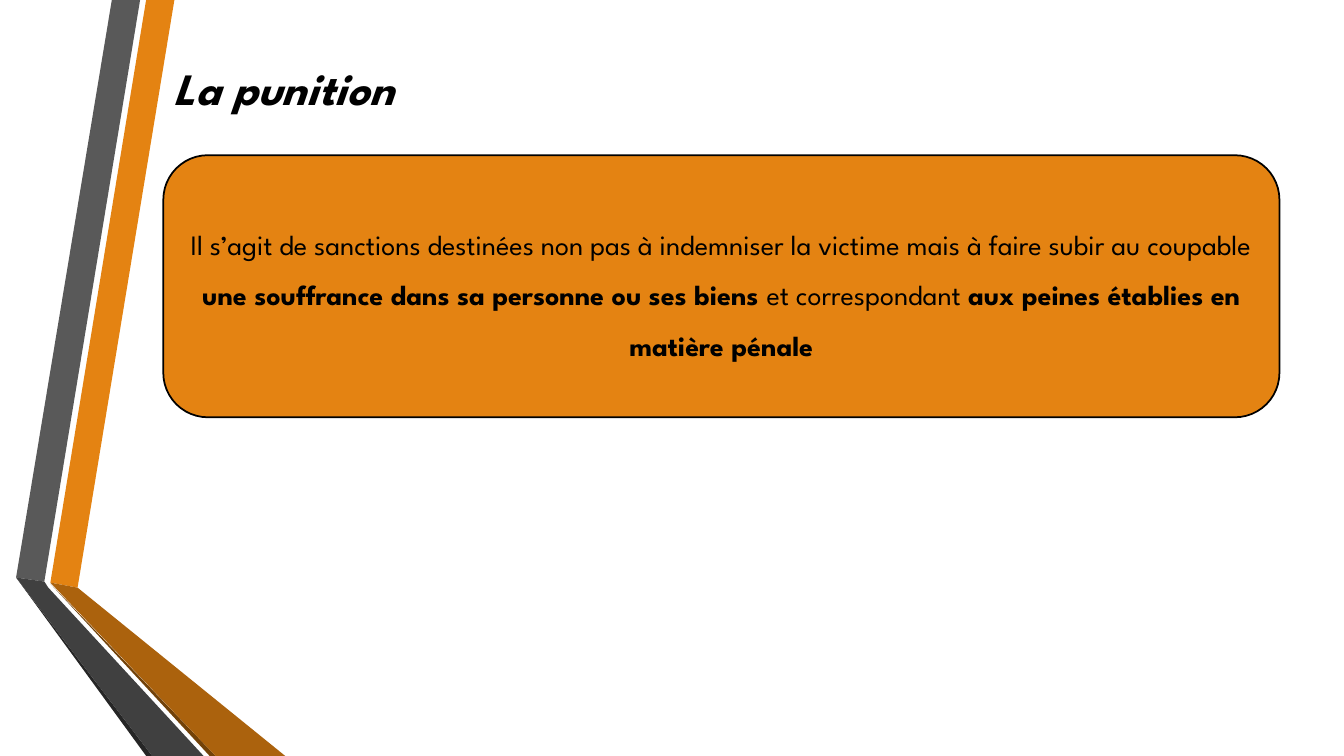
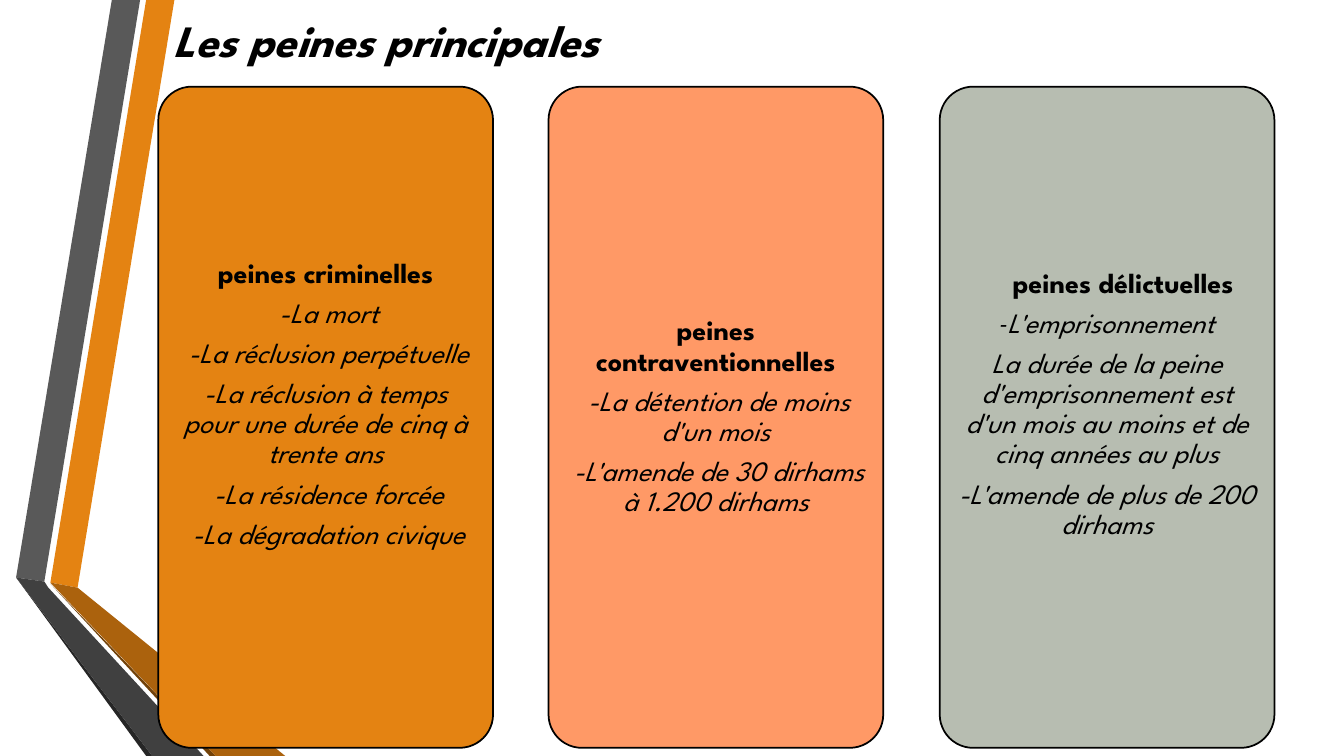
from dataclasses import dataclass

from pptx import Presentation
from pptx.dml.color import RGBColor
from pptx.enum.shapes import MSO_SHAPE
from pptx.enum.text import MSO_ANCHOR, PP_ALIGN
from pptx.util import Pt

PX = 9144


@dataclass(frozen=True)
class Theme:
    text: str = "000000"
    outline: str = "000000"
    orange: str = "E48312"
    orange_dark: str = "AB620D"
    orange_deep: str = "724209"
    grey: str = "595959"
    grey_dark: str = "404040"
    grey_deep: str = "262626"
    salmon: str = "FF9966"
    sage: str = "B7BDB1"
    font: str = "League Spartan"
    dash_font: str = "Calibri"
    title_size: int = 32
    body_size: int = 20
    dash_size: int = 18
    outline_width: float = 1.25


theme = Theme()


def write(paragraph, text, size=theme.body_size, bold=False, italic=False, font=theme.font):
    run = paragraph.add_run()
    run.text = text
    run.font.size = Pt(size)
    run.font.bold = bold
    run.font.italic = italic
    run.font.name = font
    run.font.color.rgb = RGBColor.from_string(theme.text)


ribbon = [
    (theme.orange, [(50, 578), (77, 583), (173, 0), (145, 0)]),
    (theme.grey, [(139, 0), (111, 0), (16, 573), (44, 577)]),
    (theme.grey_deep, [(16, 573), (145, 750), (151, 750)]),
    (theme.orange_deep, [(50, 579), (208, 750), (214, 750)]),
    (theme.orange_dark, [(50, 578), (214, 750), (283, 750), (77, 583)]),
    (theme.grey_dark, [(202, 750), (48, 583), (44, 577), (16, 573), (151, 750)]),
]

bold = {"bold": True}
italic = {"italic": True}
dash = {"italic": True, "font": theme.dash_font, "size": theme.dash_size}

definition = [
    (0, [
        ("Il s’agit de sanctions destinées non pas à indemniser la victime mais à faire subir au coupable ", {}),
        ("une souffrance dans sa personne ou ses biens ", bold),
        ("et correspondant ", {}),
        ("aux peines établies en matière pénale", bold),
    ]),
]
criminal = [
    (0, [("peines criminelles", bold)]),
    (6, [("-La mort", italic)]),
    (6, [("-La réclusion perpétuelle", italic)]),
    (0, [("-La réclusion à temps pour une durée de cinq à trente ans", italic)]),
    (6, [("-La résidence forcée", italic)]),
    (6, [("-La dégradation civique", italic)]),
]
contravention = [
    (0, [("peines contraventionnelles", bold)]),
    (6, [("-La détention de moins d'un mois", italic)]),
    (6, [("-L'amende de 30 dirhams à 1.200 dirhams", italic)]),
]
misdemeanour = [
    (32, [("peines délictuelles", bold)]),
    (0, [("-", dash), ("L'emprisonnement", italic)]),
    (0, [("La durée de la peine d'emprisonnement est d'un mois au moins et de cinq années au plus", italic)]),
    (0, [("-L'amende de plus de 200 dirhams", italic)]),
]

columns = [
    (theme.orange, 33, criminal),
    (theme.salmon, 8, contravention),
    (theme.sage, 33, misdemeanour),
]
first_left, last_left = 157, 932
column_cards = [
    ((first_left + (last_left - first_left) * index // 2, 86, 332, 656), 0.1, fill, bottom, 0.9, penalties)
    for index, (fill, bottom, penalties) in enumerate(columns)
]

pages = [
    ("La punition", 36, 108, [((162, 154, 1107, 260), 0.17, theme.orange, 8, 1.5, definition)]),
    ("Les peines principales", 0, 86, column_cards),
]

deck = Presentation()
deck.slide_width = 1333 * PX
deck.slide_height = 750 * PX

for title, title_top, title_height, cards in pages:
    slide = deck.slides.add_slide(deck.slide_layouts[6])

    for colour, corners in ribbon:
        outline = slide.shapes.build_freeform(*corners[0], scale=PX)
        outline.add_line_segments(corners[1:], close=True)
        band = outline.convert_to_shape()
        band.shadow.inherit = False
        band.fill.solid()
        band.fill.fore_color.rgb = RGBColor.from_string(colour)
        band.line.fill.background()

    heading = slide.shapes.add_textbox(162 * PX, title_top * PX, 1096 * PX, title_height * PX).text_frame
    heading.word_wrap = True
    heading.vertical_anchor = MSO_ANCHOR.MIDDLE
    heading.paragraphs[0].line_spacing = 0.9
    write(heading.paragraphs[0], title, size=theme.title_size, bold=True, italic=True)

    for bounds, rounding, fill, bottom, line_spacing, content in cards:
        card = slide.shapes.add_shape(MSO_SHAPE.ROUNDED_RECTANGLE, *[length * PX for length in bounds])
        card.adjustments[0] = rounding
        card.shadow.inherit = False
        card.fill.solid()
        card.fill.fore_color.rgb = RGBColor.from_string(fill)
        card.line.color.rgb = RGBColor.from_string(theme.outline)
        card.line.width = Pt(theme.outline_width)

        body = card.text_frame
        body.word_wrap = True
        body.vertical_anchor = MSO_ANCHOR.MIDDLE
        body.margin_left = body.margin_right = body.margin_top = 8 * PX
        body.margin_bottom = bottom * PX
        for index, (indent, runs) in enumerate(content):
            paragraph = body.add_paragraph() if index else body.paragraphs[0]
            paragraph.alignment = PP_ALIGN.CENTER
            paragraph.line_spacing = line_spacing
            paragraph.space_after = Pt(7)
            if indent:
                paragraph._p.get_or_add_pPr().set("indent", str(indent * PX))
            for text, style in runs:
                write(paragraph, text, **style)

deck.save("out.pptx")
